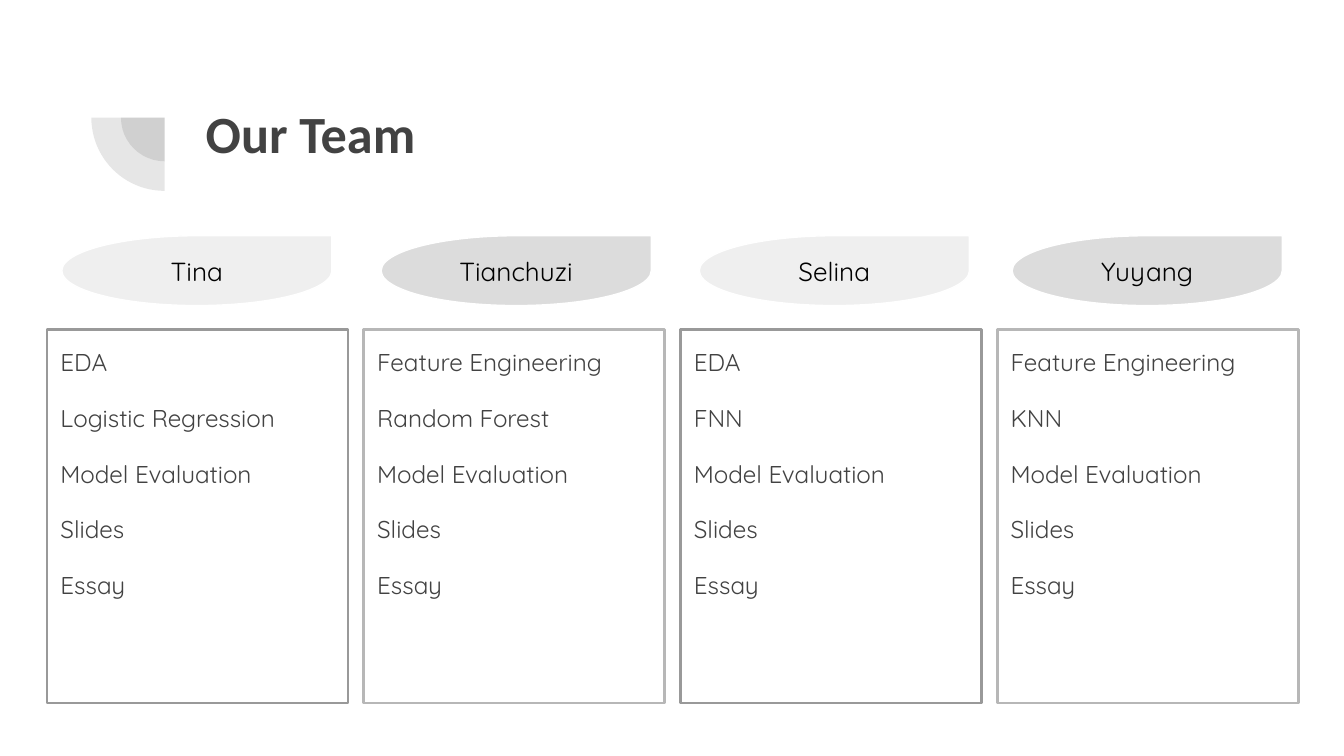
from dataclasses import dataclass

from lxml import etree
from pptx import Presentation
from pptx.dml.color import RGBColor
from pptx.enum.shapes import MSO_SHAPE
from pptx.enum.text import MSO_ANCHOR, MSO_AUTO_SIZE, PP_ALIGN
from pptx.oxml.ns import qn
from pptx.util import Pt

PIE, TEARDROP = MSO_SHAPE.PIE, MSO_SHAPE.TEAR
TOP, MIDDLE = MSO_ANCHOR.TOP, MSO_ANCHOR.MIDDLE
LEFT, CENTER = PP_ALIGN.LEFT, PP_ALIGN.CENTER
NO_AUTOFIT = MSO_AUTO_SIZE.NONE
COMPARISON_LAYOUT = 4  # a title and four body placeholders


@dataclass(frozen=True)
class Theme:
    ink: str = "424242"
    name_ink: str = "000000"
    paper: str = "FFFFFF"
    tag_fills: tuple = ("EFEFEF", "DCDCDC")
    borders: tuple = ("999999", "B7B7B7")
    title_font: str = "Calibri"
    body_font: str = "Quicksand"
    title_size: int = 28
    name_size: int = 14
    task_size: int = 13
    ornament_alpha: int = 13


THEME = Theme()

# Name, tasks, and distance of the name tag from the left of its column
TEAM = [
    ("Tina", ["EDA", "Logistic Regression"], 7.9),
    ("Tianchuzi", ["Feature Engineering", "Random Forest"], 9.3),
    ("Selina", ["EDA", "FNN"], 10.1),
    ("Yuyang", ["Feature Engineering", "KNN"], 8),
]
SHARED_TASKS = ["Model Evaluation", "Slides", "Essay"]


def apply_format(target, values):
    for attribute, value in values.items():
        setattr(target, attribute, value)


def place(part, left, top, width, height):
    apply_format(part, {"left": Pt(left), "top": Pt(top),
                        "width": Pt(width), "height": Pt(height)})


def set_fill(part, color):
    part.fill.solid()
    part.fill.fore_color.rgb = RGBColor.from_string(color)


def set_line(part, color, width):
    part.line.color.rgb = RGBColor.from_string(color)
    part.line.width = Pt(width)


def prepare_frame(frame, anchor):
    inset = Pt(7.2)
    apply_format(frame, {
        "word_wrap": True, "auto_size": NO_AUTOFIT, "vertical_anchor": anchor,
        "margin_left": inset, "margin_right": inset,
        "margin_top": inset, "margin_bottom": inset,
    })


def write(paragraph, text, font, size, color, bold=False, align=LEFT):
    run = paragraph.add_run()
    run.text = text
    apply_format(run.font, {"name": font, "size": Pt(size), "bold": bold})
    run.font.color.rgb = RGBColor.from_string(color)
    paragraph.alignment = align


def add_ornament(slide, center_x, center_y):
    """Two translucent quarter discs around one centre."""
    for diameter in (46.8, 78.5):
        quarter = slide.shapes.add_shape(
            PIE, Pt(center_x - diameter / 2), Pt(center_y - diameter / 2),
            Pt(diameter), Pt(diameter))
        quarter.adjustments[0], quarter.adjustments[1] = 108, 162
        quarter.rotation = 270
        quarter.shadow.inherit = False
        quarter.line.fill.background()
        set_fill(quarter, THEME.ink)
        color = quarter.fill._xPr.find(".//" + qn("a:srgbClr"))
        etree.SubElement(color, qn("a:alpha"),
                         val=str(THEME.ornament_alpha * 1000))


def add_heading(slide, left, top, width, height):
    add_ornament(slide, left - 14.8, top + 16.2)
    title = slide.shapes.title
    place(title, left, top, width, height)
    prepare_frame(title.text_frame, TOP)
    write(title.text_frame.paragraphs[0], "Our Team", THEME.title_font,
          THEME.title_size, THEME.ink, bold=True)


def fill_task_box(box, tasks, border, left, top, width, height):
    place(box, left, top, width, height)
    box.fill.background()
    set_line(box, border, 1.5)
    frame = box.text_frame
    prepare_frame(frame, TOP)
    for i, task in enumerate(tasks):
        paragraph = frame.add_paragraph() if i else frame.paragraphs[0]
        write(paragraph, task, THEME.body_font, THEME.task_size, THEME.ink)
        apply_format(paragraph, {
            "line_spacing": 1.15,
            "space_before": Pt(12 if i else 0),
            "space_after": Pt(12 if i == len(tasks) - 1 else 0),
        })
        # No bullet and no hanging indent
        properties = paragraph._p.get_or_add_pPr()
        properties.set("marL", "0")
        properties.set("indent", "0")
        etree.SubElement(properties, qn("a:buNone"))


def add_name_tag(slide, name, fill, left, top, width, height):
    tag = slide.shapes.add_shape(TEARDROP, Pt(left), Pt(top),
                                 Pt(width), Pt(height))
    tag.shadow.inherit = False
    set_fill(tag, fill)
    set_line(tag, THEME.paper, 0.75)
    prepare_frame(tag.text_frame, MIDDLE)
    write(tag.text_frame.paragraphs[0], name, THEME.body_font,
          THEME.name_size, THEME.name_ink, align=CENTER)


def add_team(slide, left, top, width, height):
    """One column per member: name tag above, task box below."""
    box_width, box_height = 161.3, 200.2
    pitch = (width - box_width) / (len(TEAM) - 1)
    bodies = [p for p in slide.placeholders if p.placeholder_format.idx > 0]
    for i, (body, (name, own_tasks, tag_offset)) in enumerate(zip(bodies, TEAM)):
        column = left + i * pitch
        fill_task_box(body, own_tasks + SHARED_TASKS, THEME.borders[i % 2],
                      column, top + height - box_height, box_width, box_height)
        add_name_tag(slide, name, THEME.tag_fills[i % 2],
                     column + tag_offset, top, 144.7, 37.4)


def main():
    deck = Presentation()
    deck.slide_width, deck.slide_height = Pt(720), Pt(405)
    slide = deck.slides.add_slide(deck.slide_layouts[COMPARISON_LAYOUT])
    add_heading(slide, 103, 46.8, 553.7, 78.5)
    add_team(slide, 25.2, 126.3, 670.3, 250.3)
    deck.save("out.pptx")


if __name__ == "__main__":
    main()
